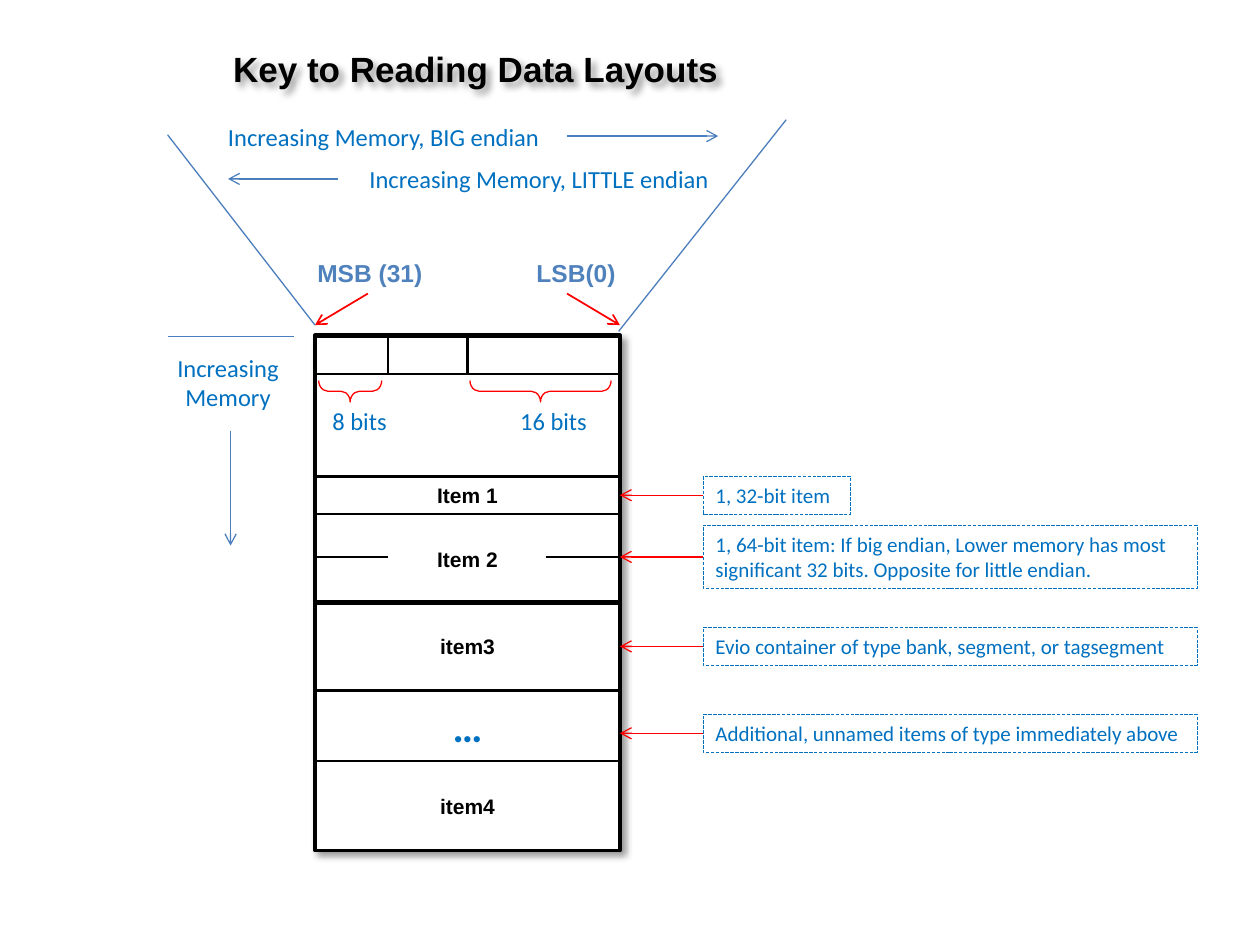
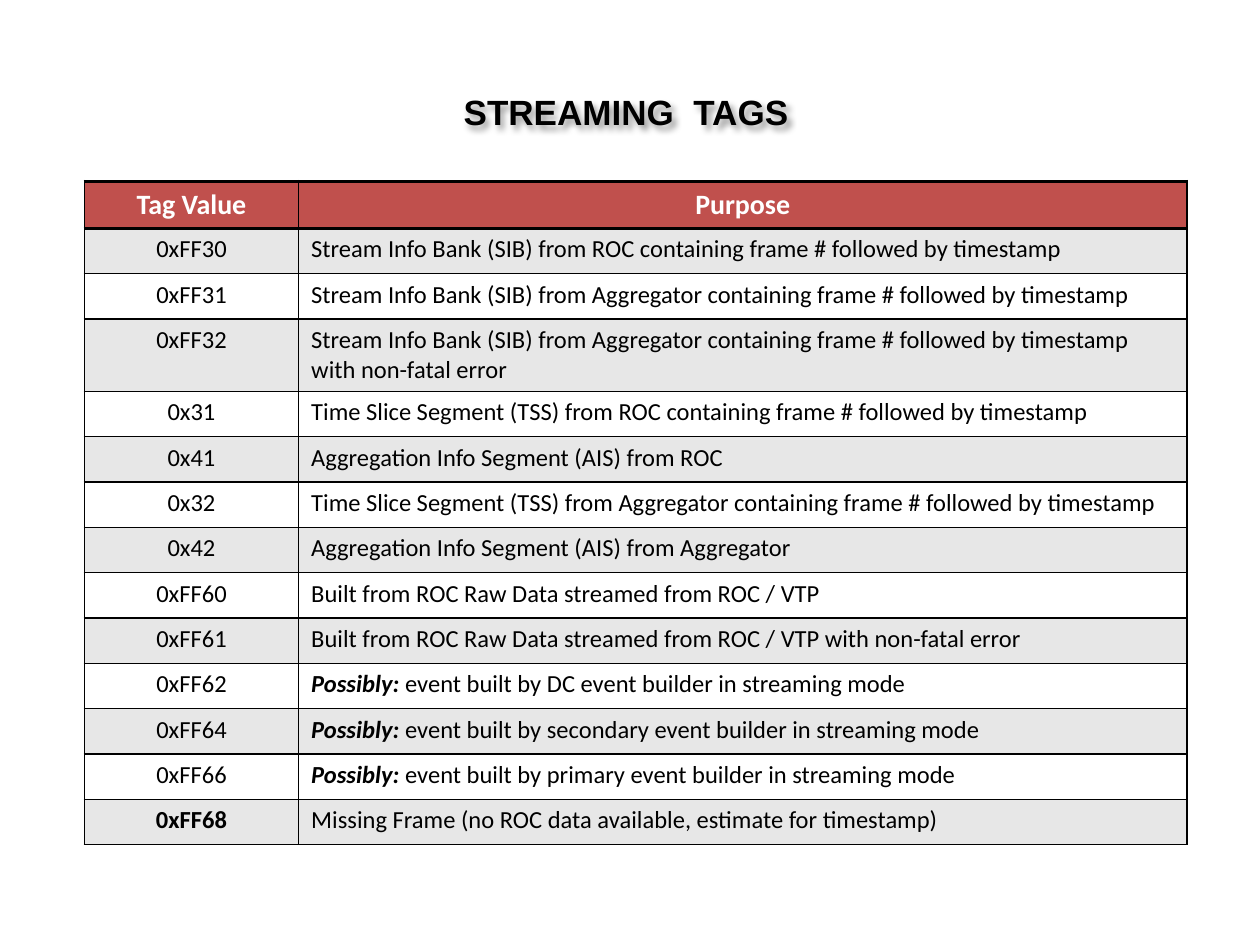
import pptx
import pptx.util
import pptx.dml.color
import pptx.enum.dml
import pptx.enum.shapes
import pptx.enum.text
import pptx.oxml
import pptx.oxml.ns
from lxml import etree

Inches, Pt = pptx.util.Inches, pptx.util.Pt
RGBColor = pptx.dml.color.RGBColor
SHAPE = pptx.enum.shapes.MSO_SHAPE
ALIGN = pptx.enum.text.PP_ALIGN
ANCHOR = pptx.enum.text.MSO_ANCHOR
qn = pptx.oxml.ns.qn

BLACK = RGBColor(0x00, 0x00, 0x00)
WHITE = RGBColor(0xFF, 0xFF, 0xFF)
RED = RGBColor(0xFF, 0x00, 0x00)
BLUE = RGBColor(0x00, 0x70, 0xC0)
GUIDE = RGBColor(0x4B, 0x7E, 0xBC)
BIT_LABEL = RGBColor(0x4F, 0x81, 0xBD)
HEADER = RGBColor(0xC0, 0x50, 0x4D)
BAND = RGBColor(0xE7, 0xE7, 0xE7)

TITLE = {"name": "Arial", "size": Pt(20), "bold": True, "color": BLACK}
ITEM = {"name": "Arial", "size": Pt(12), "bold": True, "color": BLACK}
BIT = {"name": "Arial", "size": Pt(14), "bold": True, "color": BIT_LABEL}
NOTE = {"name": "Calibri", "size": Pt(14), "color": BLUE}
CALLOUT = {"name": "Calibri", "size": Pt(12), "color": BLUE}
DOTS = {"name": "Calibri", "size": Pt(24), "bold": True, "color": BLUE}
HEAD_CELL = {"name": "Calibri", "size": Pt(16), "bold": True, "color": WHITE}
BODY_CELL = {"name": "Calibri", "size": Pt(14), "bold": False, "color": BLACK}
EMPHASIS = {**BODY_CELL, "bold": True, "italic": True}

TAGS = [
    ("0xFF30", "Stream Info Bank (SIB) from ROC containing frame # followed by timestamp"),
    ("0xFF31", "Stream Info Bank (SIB) from Aggregator containing frame # followed by timestamp"),
    ("0xFF32", "Stream Info Bank (SIB) from Aggregator containing frame # followed by timestamp "
               "with non-fatal error"),
    ("0x31", "Time Slice Segment (TSS) from ROC containing frame # followed by timestamp"),
    ("0x41", "Aggregation Info Segment (AIS) from ROC"),
    ("0x32", "Time Slice Segment (TSS) from Aggregator containing frame # followed by timestamp"),
    ("0x42", "Aggregation Info Segment (AIS) from Aggregator"),
    ("0xFF60", "Built from ROC Raw Data streamed from ROC / VTP"),
    ("0xFF61", "Built from ROC Raw Data streamed from ROC / VTP with non-fatal error"),
    ("0xFF62", "Possibly: event built by DC event builder in streaming mode"),
    ("0xFF64", "Possibly: event built by secondary event builder in streaming mode"),
    ("0xFF66", "Possibly: event built by primary event builder in streaming mode"),
    ("0xFF68", "Missing Frame (no ROC data available, estimate for timestamp)"),
]


# Shared helpers
def add_run(p, text, style):
    r = p.add_run()
    r.text = text
    for key, value in style.items():
        if key == "color":
            r.font.color.rgb = value
        else:
            setattr(r.font, key, value)


def write(tf, text, style, align=ALIGN.LEFT, anchor=ANCHOR.TOP, wrap=True):
    tf.word_wrap = wrap
    tf.vertical_anchor = anchor
    p = tf.paragraphs[0]
    p.alignment = align
    add_run(p, text, style)


def add_label(s, box, text, style, align=ALIGN.LEFT):
    sp = s.shapes.add_textbox(*map(Inches, box))
    write(sp.text_frame, text, style, align)


def add_box(s, box, color, weight, fill=None, kind=SHAPE.RECTANGLE):
    sp = s.shapes.add_shape(kind, *map(Inches, box))
    sp.shadow.inherit = False
    if fill is None:
        sp.fill.background()
    else:
        sp.fill.solid()
        sp.fill.fore_color.rgb = fill
    sp.line.color.rgb = color
    sp.line.width = Pt(weight)
    return sp


def add_line(s, start, end, color, weight=0.75, arrow=False):
    line = s.shapes.add_connector(pptx.enum.shapes.MSO_CONNECTOR.STRAIGHT,
                                  *map(Inches, (*start, *end)))
    line.line.color.rgb = color
    line.line.width = Pt(weight)
    if arrow:
        etree.SubElement(line.line._get_or_add_ln(), qn("a:tailEnd"), type="arrow")
    etree.SubElement(line._element.spPr, qn("a:effectLst"))


def add_shadow(sp):
    sp.shadow.inherit = False
    effects = sp._element.spPr.find(qn("a:effectLst"))
    shadow = etree.SubElement(effects, qn("a:outerShdw"), blurRad=str(Pt(4)), dist=str(Pt(3)),
                              dir="2700000", algn="tl", rotWithShape="0")
    color = etree.SubElement(shadow, qn("a:srgbClr"), val=str(BLACK))
    etree.SubElement(color, qn("a:alpha"), val="40000")


def add_titled_slide(prs, title, box):
    s = prs.slides.add_slide(prs.slide_layouts[5])
    sp = s.shapes.title
    sp.left, sp.top, sp.width, sp.height = map(Inches, box)
    write(sp.text_frame, title, TITLE, wrap=False)
    add_shadow(sp)
    return s


# Slide 1: data layout key
def add_endian_guides(s, x, y):
    add_line(s, (x, y + 0.12), (x + 1.17, y + 1.63), GUIDE)
    add_line(s, (x + 4.91, y), (x + 3.58, y + 1.68), GUIDE)
    add_label(s, (x + 0.34, y - 0.03, 2.75, 0.34), "Increasing Memory, BIG endian",
              NOTE, ALIGN.CENTER)
    add_line(s, (x + 3.17, y + 0.13), (x + 4.37, y + 0.13), GUIDE, arrow=True)
    add_label(s, (x + 1.4, y + 0.3, 3.1, 0.34), "Increasing Memory, LITTLE endian",
              NOTE, ALIGN.CENTER)
    add_line(s, (x + 1.35, y + 0.47), (x + 0.48, y + 0.47), GUIDE, arrow=True)


def add_memory_direction(s, x, y):
    add_line(s, (x, y), (x + 1, y), GUIDE)
    add_label(s, (x - 0.06, y + 0.08, 1.08, 0.57), "Increasing Memory", NOTE, ALIGN.CENTER)
    add_line(s, (x + 0.5, y + 0.75), (x + 0.5, y + 1.66), GUIDE, arrow=True)


def add_bit_labels(s, x, y, w):
    for text, left, tail, tip in (("MSB (31)", -0.08, 0.42, 0), ("LSB(0)", 1.66, w - 0.42, w)):
        add_label(s, (x + left, y, 1.1, 0.34), text, BIT)
        add_line(s, (x + tail, y + 0.33), (x + tip, y + 0.58), RED, 1, arrow=True)


def add_brace(s, x, y, w, h=0.17):
    # A left brace turned a quarter to point down
    box = (x + (w - h) / 2, y - (w - h) / 2, h, w)
    sp = add_box(s, box, RED, 0.75, kind=SHAPE.LEFT_BRACE)
    sp.rotation = 270
    sp.adjustments[0] = 0.43


def add_memory_column(s, x, y, w, h):
    add_shadow(add_box(s, (x, y, w, h), BLACK, 2, WHITE))

    # Word divided into bytes and a half word
    add_box(s, (x, y + 0.01, w, 0.3), BLACK, 1.5)
    for divider in (0.58, w / 2):
        add_line(s, (x + divider, y + 0.01), (x + divider, y + 0.31), BLACK, 1.5)
    for left, width in ((0.03, 0.5), (1.23, 1.12)):
        add_brace(s, x + left, y + 0.36, width)
    for text, left in (("8 bits", 0.04), ("16 bits", 1.53)):
        add_label(s, (x + left, y + 0.51, 1, 0.34), text, NOTE)

    # Items
    for text, top, height in (("Item 1", 1.12, 0.3), ("Item 2", 1.42, 0.71),
                              ("item3", 2.11, 0.71), ("item4", 3.38, 0.71)):
        sp = add_box(s, (x, y + top, w, height), BLACK, 1.5)
        write(sp.text_frame, text, ITEM, ALIGN.CENTER, ANCHOR.MIDDLE)
    for left, right in ((0, 0.58), (w - 0.59, w)):
        add_line(s, (x + left, y + 1.76), (x + right, y + 1.76), BLACK, 1.5)
    add_label(s, (x, y + 2.85, w, 0.5), "…", DOTS, ALIGN.CENTER)


def add_callouts(s, x, y, arrow_length):
    for text, top, w, h in (
        ("1, 32-bit item", 0, 1.17, 0.3),
        ("1, 64-bit item: If big endian, Lower memory has most significant 32 bits. "
         "Opposite for little endian.", 0.39, 3.92, 0.5),
        ("Evio container of type bank, segment, or tagsegment", 1.2, 3.92, 0.3),
        ("Additional, unnamed items of type immediately above", 1.89, 3.92, 0.3),
    ):
        sp = add_box(s, (x, y + top, w, h), BLUE, 0.25)
        sp.line.dash_style = pptx.enum.dml.MSO_LINE.LONG_DASH
        write(sp.text_frame, text, CALLOUT, anchor=ANCHOR.MIDDLE)
        middle = y + top + h / 2
        add_line(s, (x, middle), (x - arrow_length, middle), RED, arrow=True)


def build_layout_key(prs):
    s = add_titled_slide(prs, "Key to Reading Data Layouts", (1.75, 0.33, 4.07, 0.44))
    add_memory_column(s, 2.5, 2.66, 2.42, 4.09)
    add_bit_labels(s, 2.5, 2, 2.42)
    add_endian_guides(s, 1.33, 0.95)
    add_memory_direction(s, 1.33, 2.67)
    add_callouts(s, 5.58, 3.78, 0.66)


# Slide 2: streaming tags
def format_cell(cell, fill, top, bottom):
    cell.fill.solid()
    cell.fill.fore_color.rgb = fill
    tcPr = cell._tc.get_or_add_tcPr()
    for i, (side, weight) in enumerate((("L", 1), ("R", 1), ("T", top), ("B", bottom))):
        ln = etree.Element(qn("a:ln" + side), w=str(Pt(weight)))
        solid = etree.SubElement(ln, qn("a:solidFill"))
        etree.SubElement(solid, qn("a:srgbClr"), val=str(BLACK))
        tcPr.insert(i, ln)


def add_tag_table(s, x, y, w, row_height):
    rows = len(TAGS) + 1
    table = s.shapes.add_table(rows, 2, *map(Inches, (x, y, w, rows * row_height))).table
    for column, width in zip(table.columns, (1.7, w - 1.7)):
        column.width = Inches(width)
    for i, row in enumerate([("Tag Value", "Purpose"), *TAGS]):
        for j, text in enumerate(row):
            cell = table.cell(i, j)
            fill = HEADER if i == 0 else BAND if i % 2 else WHITE
            format_cell(cell, fill, 2 if i < 2 else 1, 2 if i == 0 else 1)
            p = cell.text_frame.paragraphs[0]
            p.alignment = ALIGN.CENTER if i == 0 or j == 0 else ALIGN.LEFT
            style = HEAD_CELL if i == 0 else BODY_CELL
            if text == "0xFF68":
                style = {**BODY_CELL, "bold": True}
            lead = "Possibly:"
            if text.startswith(lead):
                add_run(p, lead, EMPHASIS)
                text = text[len(lead):]
            add_run(p, text, style)


def build_streaming_tags(prs):
    s = add_titled_slide(prs, "STREAMING  TAGS", (3.58, 0.67, 2.92, 0.44))
    add_tag_table(s, 0.67, 1.44, 8.75, 0.36)


def main():
    prs = pptx.Presentation()
    prs.slide_width, prs.slide_height = Inches(10), Inches(7.5)
    build_layout_key(prs)
    build_streaming_tags(prs)
    prs.save("out.pptx")


if __name__ == "__main__":
    main()
